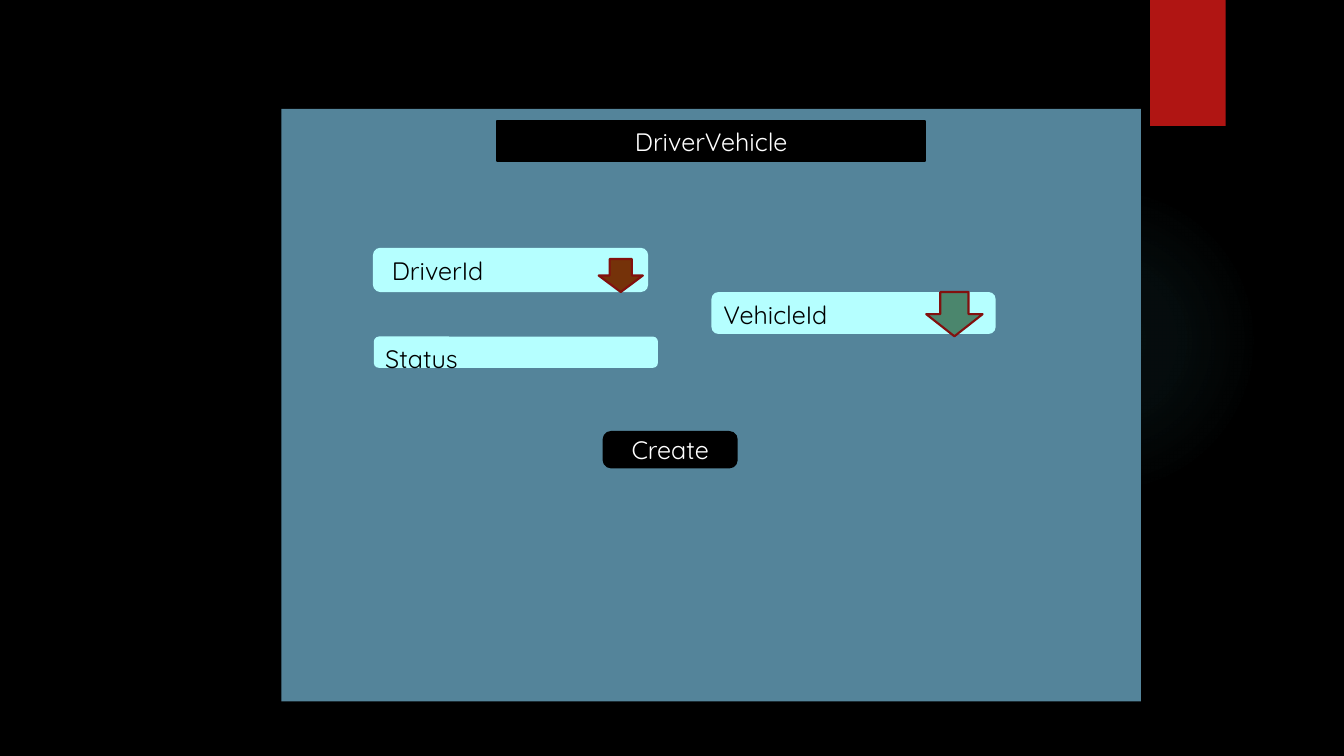
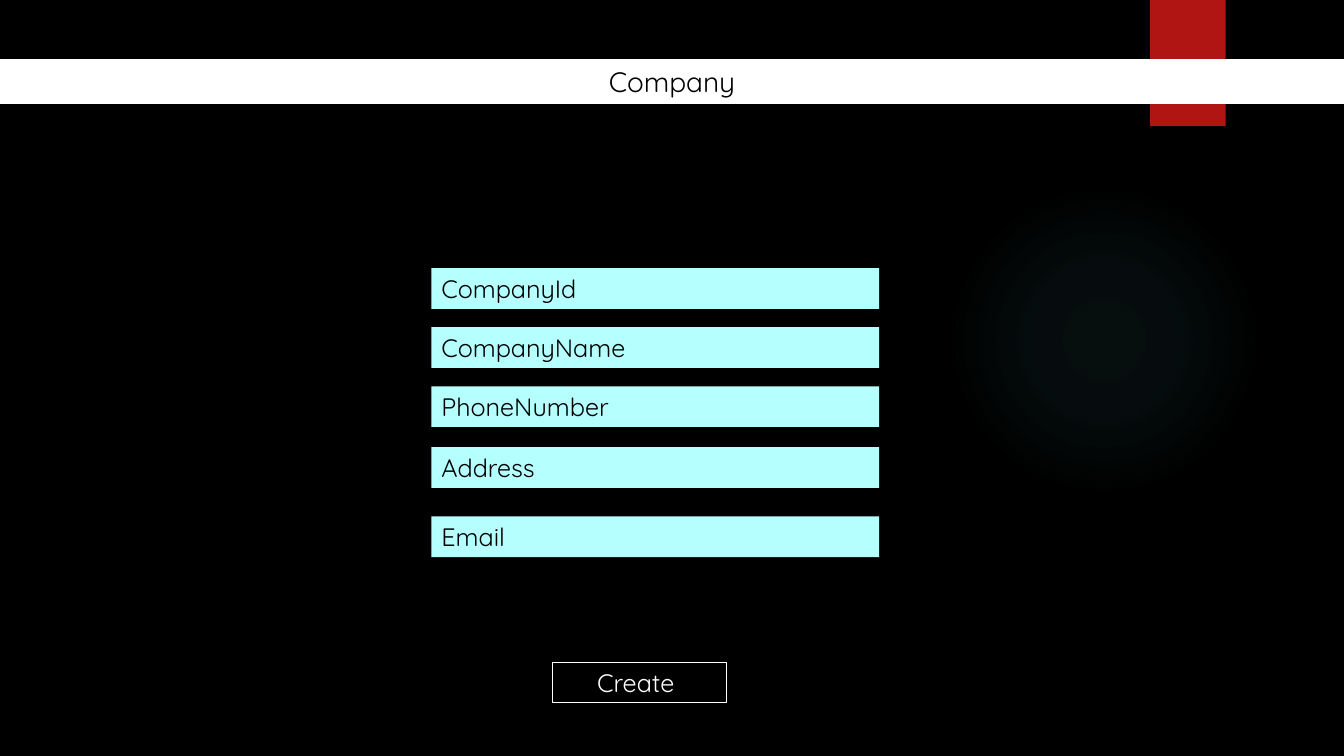
from dataclasses import dataclass
from typing import Any, Optional

from lxml.etree import SubElement as Sub
from pptx import Presentation
from pptx.dml.color import RGBColor as Rgb
from pptx.enum.shapes import MSO_SHAPE as Form
from pptx.enum.text import MSO_ANCHOR as Anchor, MSO_AUTO_SIZE as Fit, PP_ALIGN as Align
from pptx.oxml import parse_xml
from pptx.oxml.ns import nsdecls, qn
from pptx.util import Pt


# Colours and type sizes
@dataclass(frozen=True)
class Theme:
    font: str = "Quicksand"
    text: int = 18
    head: int = 20
    black: str = "000000"
    white: str = "FFFFFF"
    field: str = "B5FFFF"
    panel: str = "54849A"
    red: str = "B01513"
    glow: str = "50B9C1"
    brown: str = "753209"
    green: str = "4B866D"
    edge: str = "82100E"


T = Theme()


@dataclass(frozen=True)
class Box:
    x: float
    y: float
    w: float
    h: float
    fill: str
    text: str = ""
    form: Form = Form.RECTANGLE
    line: Optional[str] = None
    thick: float = 1.5
    ink: str = T.black
    size: int = T.text
    align: Align = Align.LEFT
    anchor: Anchor = Anchor.TOP
    left: float = 7.2
    right: float = 7.2
    bend: Optional[float] = None


def put(item: Any, vals: dict[str, Any]) -> None:
    for name, val in vals.items():
        setattr(item, name, val)


# Fill, outline and text, for shapes and titles alike
def style(shape: Any, box: Box) -> None:
    shape.fill.solid()
    shape.fill.fore_color.rgb = Rgb.from_string(box.fill)
    if box.line:
        shape.line.color.rgb = Rgb.from_string(box.line)
        shape.line.width = Pt(box.thick)
    else:
        shape.line.fill.background()
    if not box.text:
        return
    frame = shape.text_frame
    put(frame, {
        "text": box.text, "word_wrap": True, "auto_size": Fit.NONE,
        "vertical_anchor": box.anchor,
        "margin_left": Pt(box.left), "margin_right": Pt(box.right),
    })
    para = frame.paragraphs[0]
    para.alignment = box.align
    font = para.runs[0].font
    put(font, {"name": T.font, "size": Pt(box.size)})
    font.color.rgb = Rgb.from_string(box.ink)


def draw(slide: Any, box: Box) -> Any:
    shape = slide.shapes.add_shape(box.form, Pt(box.x), Pt(box.y), Pt(box.w), Pt(box.h))
    shape.shadow.inherit = False
    if box.bend is not None:
        shape.adjustments[0] = box.bend
    style(shape, box)
    return shape


def title(slide: Any, box: Box, form: str) -> None:
    shape = slide.shapes.title
    put(shape, {"left": Pt(box.x), "top": Pt(box.y), "width": Pt(box.w), "height": Pt(box.h)})
    geom = Sub(shape._element.spPr, qn("a:prstGeom"), prst=form)
    Sub(geom, qn("a:avLst"))
    style(shape, box)
    slide.shapes._spTree.append(shape._element)  # bring to front


# Backdrop shared through the layout: black ground, glow and red tab
def backdrop(slide: Any) -> None:
    layout = slide.slide_layout
    ground = layout.background.fill
    ground.solid()
    ground.fore_color.rgb = Rgb.from_string(T.black)
    for hold in list(layout.placeholders)[1:]:
        layout.shapes._spTree.remove(hold._element)

    glow = draw(slide, Box(677.5, 131.8, 221.8, 221.8, T.glow, form=Form.OVAL))
    stops = "".join(
        f'<a:gs pos="{pos}000"><a:srgbClr val="{T.glow}"><a:alpha val="{alpha}000"/></a:srgbClr></a:gs>'
        for pos, alpha in ((0, 7), (36, 6), (69, 0)))
    grad = parse_xml(
        f'<a:gradFill {nsdecls("a")}><a:gsLst>{stops}</a:gsLst><a:path path="circle">'
        '<a:fillToRect l="50000" t="50000" r="50000" b="50000"/></a:path></a:gradFill>')
    props = glow._element.spPr
    props.replace(props.find(qn("a:solidFill")), grad)

    tab = draw(slide, Box(821.5, 0, 54, 90, T.red))
    cast = Sub(tab._element.spPr.find(qn("a:effectLst")), qn("a:outerShdw"),
               blurRad=str(Pt(3)), dist=str(Pt(2)), dir="5400000")
    tint = Sub(cast, qn("a:srgbClr"), val=T.black)
    Sub(tint, qn("a:alpha"), val="45000")

    for shape in (glow, tab):
        layout.shapes._spTree.append(shape._element)


# Slide 1: driver and vehicle form
def driver(slide: Any) -> None:
    mid = {"ink": T.white, "align": Align.CENTER, "anchor": Anchor.MIDDLE, "line": T.black}
    pill = {"form": Form.ROUNDED_RECTANGLE}
    arrow = {"form": Form.DOWN_ARROW, "line": T.edge}
    draw(slide, Box(201, 77.8, 614, 423.2, T.panel))
    title(slide, Box(355, 86.3, 306, 28.8, T.black, "DriverVehicle", **mid), "roundRect")
    for box in (
        Box(266.4, 177, 196.6, 31.6, T.field, "DriverId", left=12, **pill),
        Box(267, 240.4, 203, 22.4, T.field, "Status", **pill),
        Box(508.2, 208.6, 203, 30, T.field, "VehicleId", **pill),
        Box(431.2, 308.6, 95, 25.2, T.black, "Create", bend=0.21, **pill, **mid),
        Box(427.6, 185, 31.6, 23.6, T.brown, **arrow),
        Box(661.6, 208.6, 40.3, 31.6, T.green, **arrow),
    ):
        draw(slide, box)


# Slide 2: company form
def company(slide: Any) -> None:
    thin = {"line": T.white, "thick": 0.75, "align": Align.CENTER}
    title(slide, Box(0, 42.3, 960, 31.7, T.white, "Company", size=T.head, **thin), "rect")
    tall = 29.1
    rows = {"CompanyId": 191.5, "CompanyName": 233.7, "PhoneNumber": 275.9,
            "Address": 319.4, "Email": 368.9}
    for name, top in rows.items():
        draw(slide, Box(308.2, top, 319.8, tall, T.field, name))
    draw(slide, Box(394.6, 473, 124.6, tall, T.black, "Create", ink=T.white, right=12.6, **thin))


def main() -> None:
    deck = Presentation()
    put(deck, {"slide_width": Pt(960), "slide_height": Pt(540)})
    layout = deck.slide_layouts[5]
    first, second = (deck.slides.add_slide(layout) for _ in range(2))
    backdrop(first)
    driver(first)
    company(second)
    deck.save("out.pptx")


if __name__ == "__main__":
    main()
